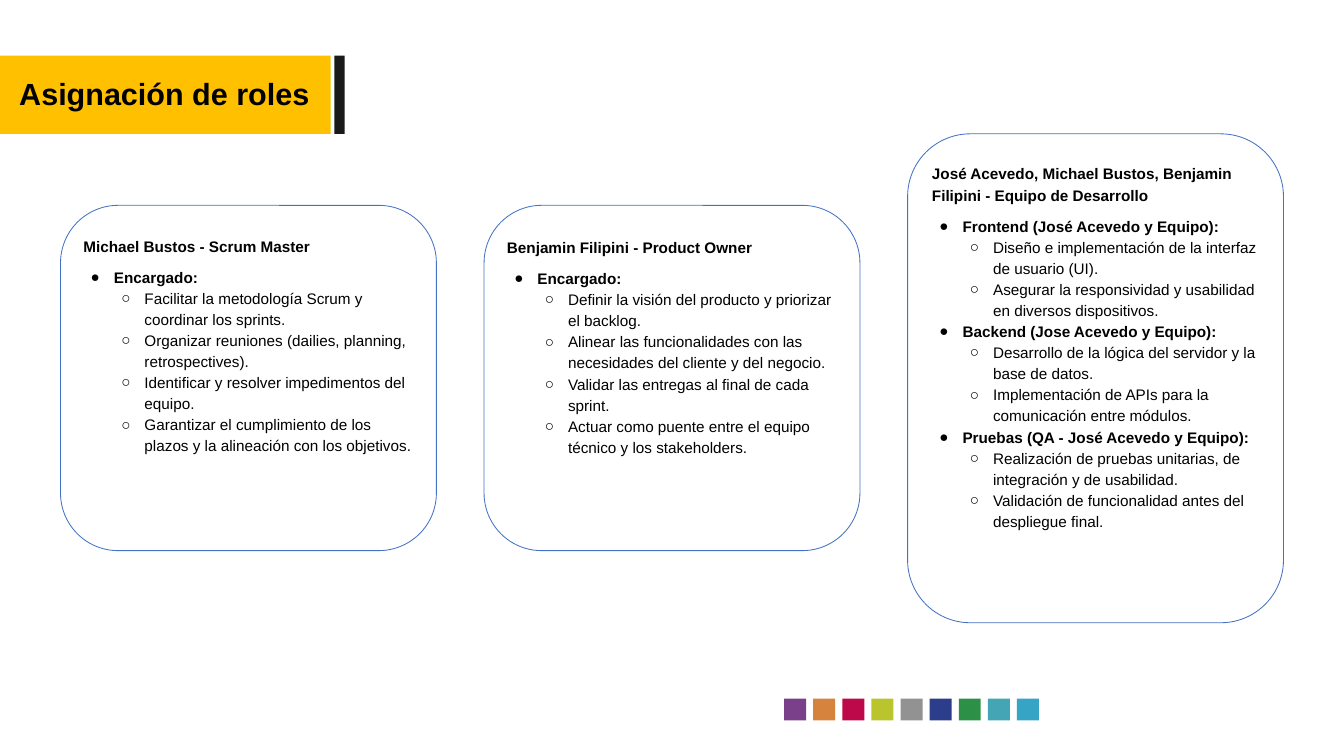
import pptx
import pptx.dml.color
import pptx.enum.shapes
import pptx.enum.text
import pptx.util
from lxml import etree
from pptx.oxml.ns import qn

TITLE = "Asignación de roles"
CARDS = [
    {
        "heading": "Michael Bustos - Scrum Master",
        "heading_spacing": 1.0,
        "top": 336,
        "height": 565,
        "groups": [
            ("Encargado:", [
                "Facilitar la metodología Scrum y coordinar los sprints.",
                "Organizar reuniones (dailies, planning, retrospectives).",
                "Identificar y resolver impedimentos del equipo.",
                "Garantizar el cumplimiento de los plazos y la alineación con los objetivos.",
            ]),
        ],
    },
    {
        "heading": "Benjamin Filipini - Product Owner",
        "heading_spacing": 1.15,
        "top": 336,
        "height": 565,
        "groups": [
            ("Encargado:", [
                "Definir la visión del producto y priorizar el backlog.",
                "Alinear las funcionalidades con las necesidades del cliente y del negocio.",
                "Validar las entregas al final de cada sprint.",
                "Actuar como puente entre el equipo técnico y los stakeholders.",
            ]),
        ],
    },
    {
        "heading": "José Acevedo, Michael Bustos, Benjamin Filipini - Equipo de Desarrollo",
        "heading_spacing": 1.15,
        "top": 219,
        "height": 800,
        "groups": [
            ("Frontend (José Acevedo y Equipo):", [
                "Diseño e implementación de la interfaz de usuario (UI).",
                "Asegurar la responsividad y usabilidad en diversos dispositivos.",
            ]),
            ("Backend (Jose Acevedo y Equipo):", [
                "Desarrollo de la lógica del servidor y la base de datos.",
                "Implementación de APIs para la comunicación entre módulos.",
            ]),
            ("Pruebas (QA - José Acevedo y Equipo):", [
                "Realización de pruebas unitarias, de integración y de usabilidad.",
                "Validación de funcionalidad antes del despliegue final.",
            ]),
        ],
    },
]
COLORS = {
    "band": "FFC000",
    "bar": "1A1A1A",
    "card": "FFFFFF",
    "outline": "4472C4",
    "text": "000000",
}
SWATCHES = ["7B408A", "D6843D", "BD0949", "BAC52E", "929292",
            "2C3E8B", "2C9146", "44A6B5", "35A4C5"]
FONT = "Arial"
BULLETS = "●○"
SHAPES = pptx.enum.shapes.MSO_SHAPE
ALIGN = pptx.enum.text.PP_ALIGN
EMU_PER_PX = 9144
CARD_LEFT, CARD_STEP, CARD_WIDTH = 99, 693, 615
SWATCH_LEFT, SWATCH_LAST, SWATCH_TOP, SWATCH_SIZE = 1283, 1664, 1143, 36


def px(value):
    return pptx.util.Emu(round(value * EMU_PER_PX))


def rgb(color):
    return pptx.dml.color.RGBColor.from_string(color)


def add_shape(slide, kind, left, top, width, height, fill, line=None):
    shape = slide.shapes.add_shape(kind, px(left), px(top), px(width), px(height))
    shape.shadow.inherit = False
    shape.fill.solid()
    shape.fill.fore_color.rgb = rgb(fill)
    if line:
        shape.line.color.rgb = rgb(line)
        shape.line.width = pptx.util.Pt(1)
    else:
        shape.line.fill.background()
    return shape


def set_frame(frame, left=0, top=0, right=0, bottom=0):
    frame.margin_left, frame.margin_top = px(left), px(top)
    frame.margin_right, frame.margin_bottom = px(right), px(bottom)
    frame.vertical_anchor = pptx.enum.text.MSO_ANCHOR.MIDDLE
    frame.auto_size = pptx.enum.text.MSO_AUTO_SIZE.NONE
    frame.word_wrap = True


def add_bullet(paragraph, level):
    paragraph.level = level
    properties = paragraph._p.get_or_add_pPr()
    properties.set("marL", str(px(50 * (level + 1))))
    properties.set("indent", str(px(-38)))
    color = etree.SubElement(properties, qn("a:buClr"))
    etree.SubElement(color, qn("a:srgbClr"), val=COLORS["text"])
    etree.SubElement(properties, qn("a:buFont"), typeface=FONT)
    etree.SubElement(properties, qn("a:buChar"), char=BULLETS[level])


def add_text(frame, text, size=18, bold=False, align=ALIGN.LEFT,
             spacing=1.15, before=0, level=None):
    paragraph = frame.paragraphs[0]
    if paragraph.runs:
        paragraph = frame.add_paragraph()
    paragraph.alignment = align
    paragraph.line_spacing = spacing
    paragraph.space_before = pptx.util.Pt(before)
    if level is not None:
        add_bullet(paragraph, level)
    run = paragraph.add_run()
    run.text = text
    run.font.name = FONT
    run.font.size = pptx.util.Pt(size)
    run.font.bold = bold
    run.font.color.rgb = rgb(COLORS["text"])


def add_title(slide):
    band = add_shape(slide, SHAPES.RECTANGLE, 0, 91, 541, 128, COLORS["band"])
    add_shape(slide, SHAPES.RECTANGLE, 547, 91, 17, 128, COLORS["bar"])
    title = slide.shapes.title
    title.left, title.top = px(0), px(122)
    title.width, title.height = px(538), px(61)
    band.element.addnext(title.element)
    set_frame(title.text_frame)
    add_text(title.text_frame, TITLE, size=36, bold=True, align=ALIGN.CENTER, spacing=1.0)


def add_swatches(slide):
    step = (SWATCH_LAST - SWATCH_LEFT) / (len(SWATCHES) - 1)
    for index, color in enumerate(SWATCHES):
        add_shape(slide, SHAPES.RECTANGLE, SWATCH_LEFT + index * step, SWATCH_TOP,
                  SWATCH_SIZE, SWATCH_SIZE, color)


def add_card(slide, index, card):
    shape = add_shape(slide, SHAPES.ROUNDED_RECTANGLE, CARD_LEFT + index * CARD_STEP,
                      card["top"], CARD_WIDTH, card["height"],
                      COLORS["card"], COLORS["outline"])
    frame = shape.text_frame
    set_frame(frame, left=10, top=5, right=10, bottom=110)
    add_text(frame, card["heading"], bold=True, spacing=card["heading_spacing"])
    for position, (role, tasks) in enumerate(card["groups"]):
        add_text(frame, role, bold=True, before=0 if position else 12, level=0)
        for task in tasks:
            add_text(frame, task, level=1)


def main():
    presentation = pptx.Presentation()
    presentation.slide_width, presentation.slide_height = px(2199), px(1237)
    slide = presentation.slides.add_slide(presentation.slide_layouts[5])
    add_title(slide)
    add_swatches(slide)
    for index, card in enumerate(CARDS):
        add_card(slide, index, card)
    presentation.save("out.pptx")


if __name__ == "__main__":
    main()
